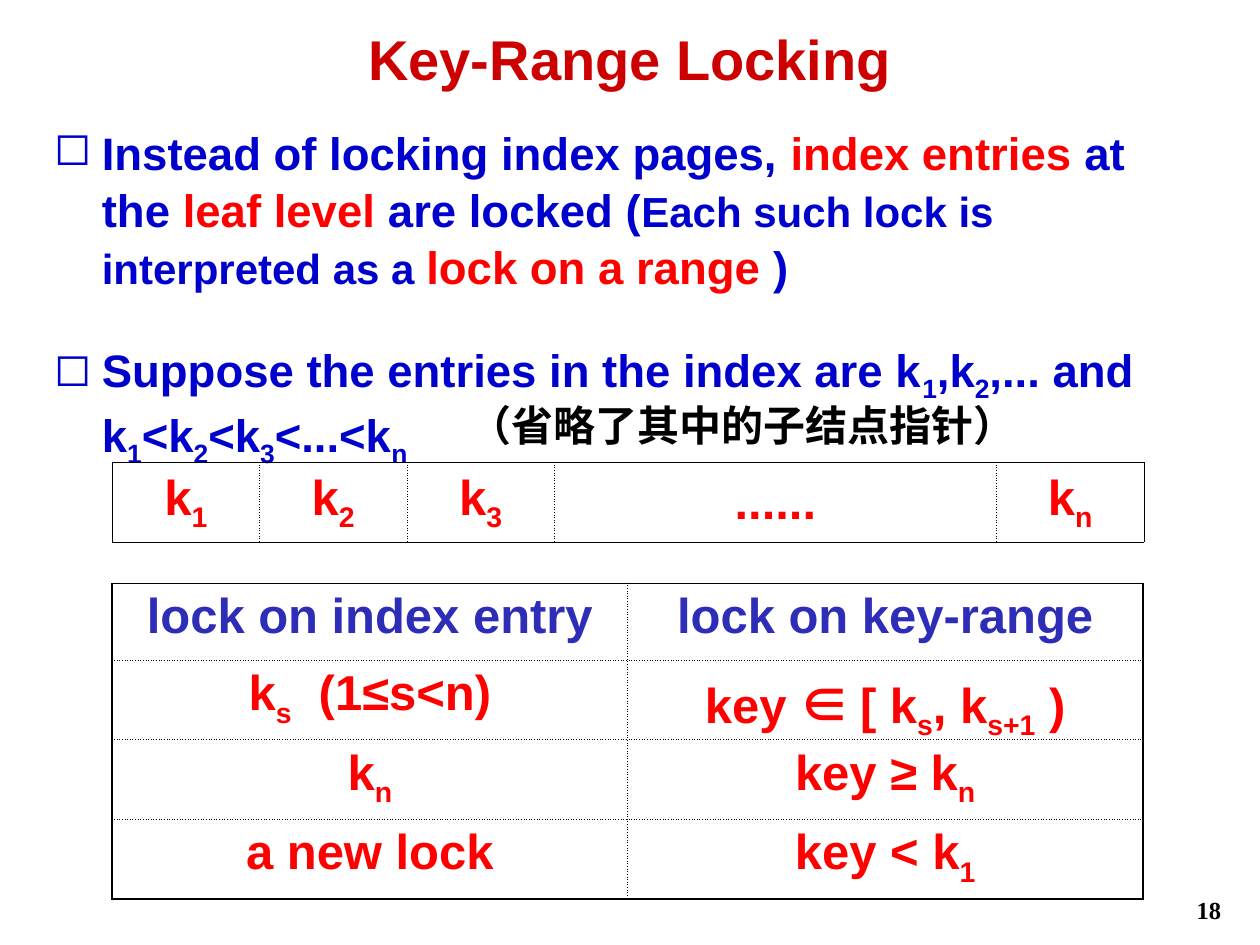
"""Builds the Key-Range Locking slide."""
import dataclasses

import pptx
import pptx.dml.color
import pptx.enum.text
import pptx.oxml
import pptx.oxml.ns
import pptx.util

Inches, Pt = pptx.util.Inches, pptx.util.Pt
RGB = pptx.dml.color.RGBColor.from_string
PP, MSO = pptx.enum.text.PP_ALIGN, pptx.enum.text.MSO_ANCHOR
NS = pptx.oxml.ns.nsdecls("a")


@dataclasses.dataclass(frozen=True)
class Theme:
    sans: str = "Arial"
    serif: str = "Times New Roman"
    cjk: str = "Noto Sans CJK SC"
    black: str = "000000"
    crimson: str = "CC0000"
    blue: str = "0000CC"
    red: str = "FF0000"
    indigo: str = "2D2DB7"
    title: int = 32
    cell: int = 28
    body: int = 26
    note: int = 24
    page: int = 14


theme = Theme()


def write(para, text, face, size, color):
    """Write one line of text; parts between underscores are subscripts."""
    font = para.font
    font.name, font.size, font.bold = face, Pt(size), True
    font.color.rgb = RGB(color)
    for i, part in enumerate(text.split("_")):
        for j, bit in enumerate(part.split("|")):
            if bit:
                run = para.add_run()
                run.text = bit
                if i % 2:
                    run._r.get_or_add_rPr().set("baseline", "-25000")
                if j % 2:
                    run.font.name = theme.cjk
                    run._r.get_or_add_rPr().append(
                        pptx.oxml.parse_xml(f'<a:ea {NS} typeface="{theme.cjk}"/>'))


def box(left, top, width, height):
    """Add a wrapping text box and return its frame."""
    frame = slide.shapes.add_textbox(
        Inches(left), Inches(top), Inches(width), Inches(height)).text_frame
    frame.word_wrap = True
    return frame


deck = pptx.Presentation()
deck.slide_width, deck.slide_height = Inches(10), Inches(7.5)
slide = deck.slides.add_slide(deck.slide_layouts[6])

title = box(0.75, 0.14, 8.5, 0.64)
title.vertical_anchor = MSO.MIDDLE
title.paragraphs[0].alignment = PP.CENTER
write(title.paragraphs[0], "Key-Range Locking", theme.sans, theme.title, theme.crimson)

points = [
    (0.92, 1.41, [
        ("Instead of locking index pages, ", theme.blue, theme.body),
        ("index entries", theme.red, theme.body),
        (" at the ", theme.blue, theme.body),
        ("leaf level", theme.red, theme.body),
        (" are locked (", theme.blue, theme.body),
        ("Each such lock is interpreted as a ", theme.blue, theme.note),
        ("lock on a range", theme.red, theme.body),
        (" )", theme.blue, theme.body)]),
    (2.64, 0.97, [
        ("Suppose the entries in the index are k_1_,k_2_,... and "
         "k_1_<k_2_<k_3_<...<k_n_", theme.blue, theme.body)]),
]
for top, height, parts in points:
    para = box(0.33, top, 9.25, height).paragraphs[0]
    para.line_spacing = 1.05
    props = para._p.get_or_add_pPr()
    props.set("marL", str(Inches(0.38)))
    props.set("indent", str(Inches(-0.38)))
    props.append(pptx.oxml.parse_xml(f'<a:buChar {NS} char="◻"/>'))
    for text, color, size in parts:
        write(para, text, theme.sans, theme.body, theme.blue)
        font = para.runs[-1].font
        if color != theme.blue:
            font.color.rgb = RGB(color)
        if size != theme.body:
            font.size = Pt(size)

grids = [
    (3.67, 0.57, [1.17, 1.17, 1.17, 3.51, 1.17], 0.5, MSO.MIDDLE, [
        ["k_1_", "k_2_", "k_3_", "......", "k_n_"]]),
    (4.63, 0.61, [4.09, 4.09], 1, MSO.TOP, [
        ["lock on index entry", "lock on key-range"],
        ["k_s_  (1≤s<n)", "key |∈ |[ k_s_, k_s+1_ )"],
        ["k_n_", "key ≥ k_n_"],
        ["a new lock", "key < k_1_"]]),
]
for top, height, widths, edge, anchor, rows in grids:
    table = slide.shapes.add_table(
        len(rows), len(widths), Inches(0.89), Inches(top),
        Inches(sum(widths)), Inches(height * len(rows))).table
    table.first_row = table.horz_banding = False
    for col, width in zip(table.columns, widths):
        col.width = Inches(width)
    for r, row in enumerate(rows):
        table.rows[r].height = Inches(height)
        for c, text in enumerate(row):
            cell = table.cell(r, c)
            cell.vertical_anchor = anchor
            para = cell.text_frame.paragraphs[0]
            para.alignment = PP.CENTER
            head = len(rows) > 1 and r == 0
            write(para, text, theme.sans, theme.cell, theme.indigo if head else theme.red)
            outer = {"L": c == 0, "R": c == len(row) - 1,
                     "T": r == 0, "B": r == len(rows) - 1}
            for side, solid in outer.items():
                width, dash = (edge, "solid") if solid else (0.5, "sysDot")
                cell._tc.get_or_add_tcPr().append(pptx.oxml.parse_xml(
                    f'<a:ln{side} {NS} w="{Pt(width)}"><a:solidFill>'
                    f'<a:srgbClr val="{theme.black}"/></a:solidFill>'
                    f'<a:prstDash val="{dash}"/></a:ln{side}>'))
            cell.fill.background()

note = box(3.63, 3.12, 5.27, 0.5).paragraphs[0]
write(note, "（省略了其中的子结点指针）", theme.serif, theme.note, theme.black)

page = box(8.76, 7.05, 1.03, 0.31).paragraphs[0]
page.alignment = PP.RIGHT
write(page, "18", theme.serif, theme.page, theme.black)

deck.save("out.pptx")
